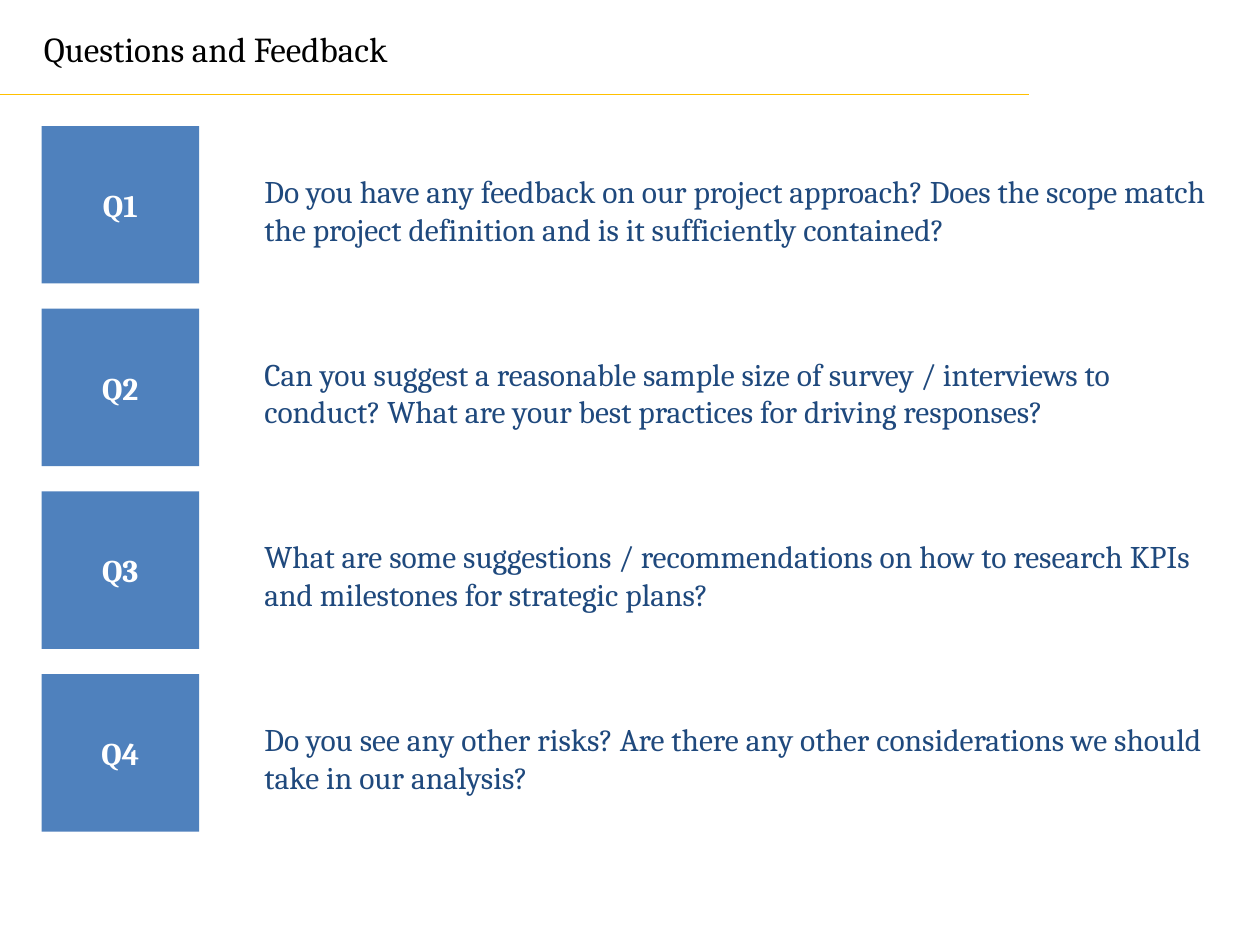
from dataclasses import dataclass

import pptx
import pptx.dml.color
import pptx.enum.shapes
import pptx.enum.text
import pptx.util
from lxml import etree
from pptx.oxml.ns import qn
from pptx.util import Inches

RGB = pptx.dml.color.RGBColor.from_string


@dataclass(frozen=True)
class Theme:
    font: str = "Cambria"
    title: str = "000000"
    rule: str = "FFC000"
    badge: str = "4F81BD"
    badge_text: str = "FFFFFF"
    question: str = "1F497D"
    title_size: int = 20
    body_size: int = 18


theme = Theme()

QUESTIONS = [
    "Do you have any feedback on our project approach? Does the scope match "
    "the project definition and is it sufficiently contained?",
    "Can you suggest a reasonable sample size of survey / interviews to conduct? "
    "What are your best practices for driving responses?",
    "What are some suggestions / recommendations on how to research KPIs "
    "and milestones for strategic plans?",
    "Do you see any other risks? Are there any other considerations we should "
    "take in our analysis?",
]
FIRST_TOP, ROW_PITCH = 1, 1.45


def set_text(sp, text, size, color, bold=False):
    p = sp.text_frame.paragraphs[0]
    p.text = text
    p.font.name = theme.font
    p.font.size = pptx.util.Pt(size)
    p.font.bold = bold
    p.font.color.rgb = RGB(color)
    return p


prs = pptx.Presentation()
prs.slide_width, prs.slide_height = Inches(10), Inches(7.5)
s = prs.slides.add_slide(prs.slide_layouts[6])

# Title and rule
title = s.shapes.add_textbox(Inches(0.25), Inches(0.17), Inches(3.1), Inches(0.44))
title.text_frame.word_wrap = False
title.text_frame.auto_size = pptx.enum.text.MSO_AUTO_SIZE.SHAPE_TO_FIT_TEXT
set_text(title, "Questions and Feedback", theme.title_size, theme.title)

rule = s.shapes.add_connector(
    pptx.enum.shapes.MSO_CONNECTOR.STRAIGHT,
    Inches(0), Inches(0.75), Inches(8.17), Inches(0.75))
rule.line.color.rgb = RGB(theme.rule)
rule.line.width = pptx.util.Pt(0.75)
etree.SubElement(rule._element.spPr, qn("a:effectLst"))

# One row per question: text and numbered badge
for i, text in enumerate(QUESTIONS):
    top = Inches(FIRST_TOP + i * ROW_PITCH)

    question = s.shapes.add_textbox(Inches(2), top, Inches(7.67), Inches(1.33))
    question.text_frame.word_wrap = True
    question.text_frame.vertical_anchor = pptx.enum.text.MSO_ANCHOR.MIDDLE
    set_text(question, text, theme.body_size, theme.question)

    badge = s.shapes.add_shape(
        pptx.enum.shapes.MSO_SHAPE.RECTANGLE,
        Inches(0.33), top, Inches(1.25), Inches(1.25))
    badge.shadow.inherit = False
    badge.fill.solid()
    badge.fill.fore_color.rgb = RGB(theme.badge)
    badge.line.fill.background()
    badge.text_frame.vertical_anchor = pptx.enum.text.MSO_ANCHOR.MIDDLE
    p = set_text(badge, f"Q{i + 1}", theme.body_size, theme.badge_text, bold=True)
    p.alignment = pptx.enum.text.PP_ALIGN.CENTER

prs.save("out.pptx")
